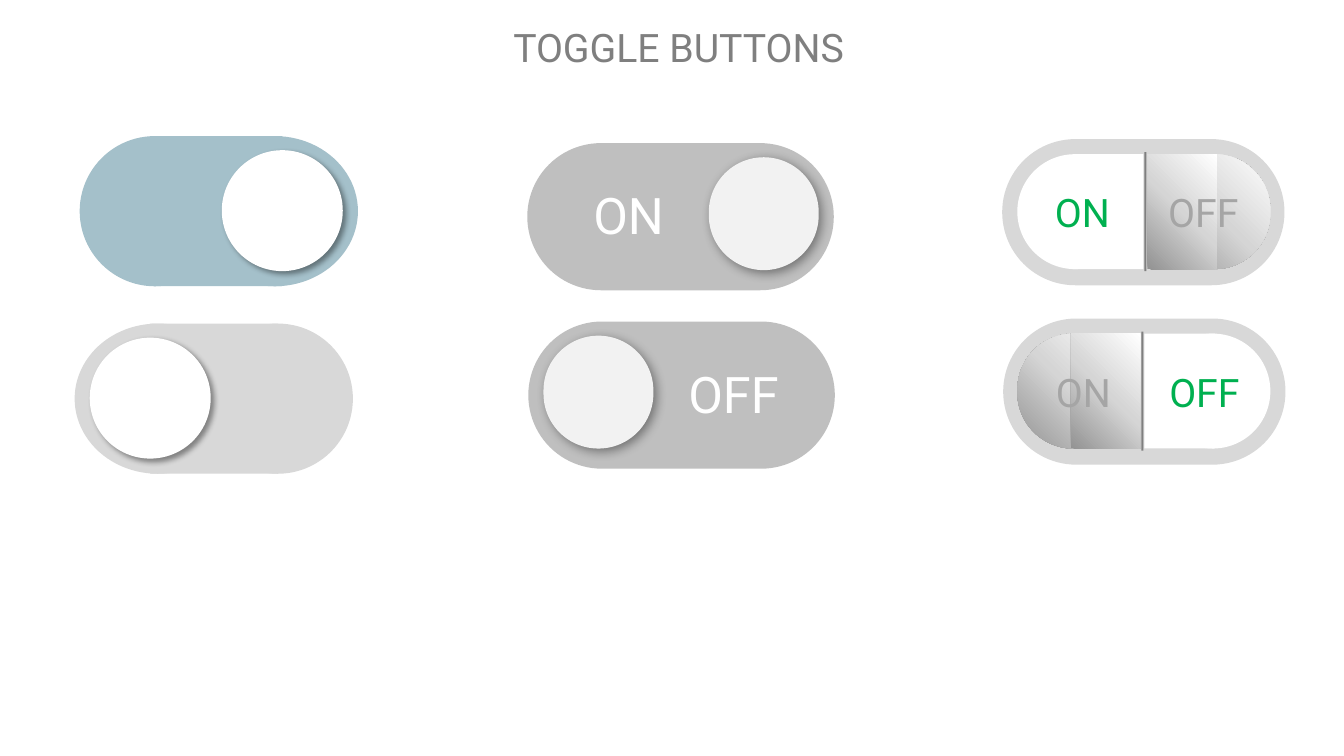
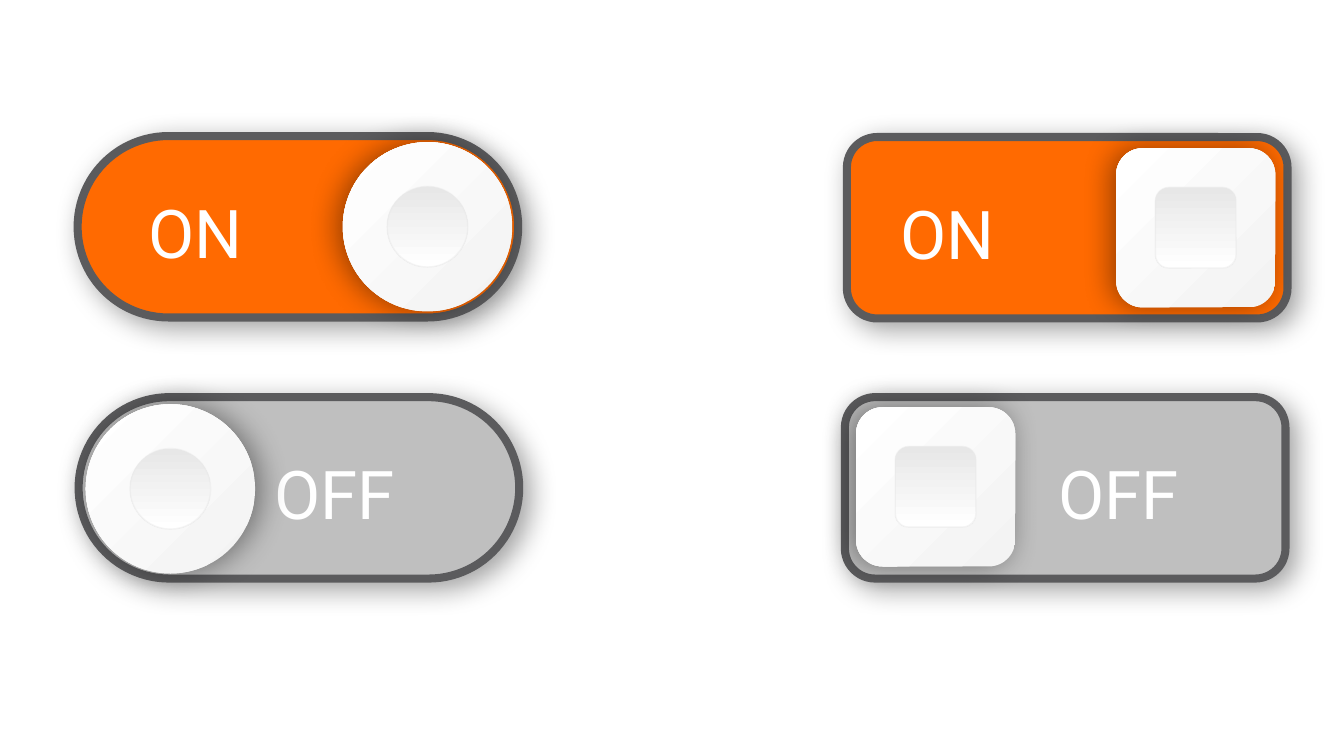
"""Build two slides of toggle buttons."""
from lxml.etree import SubElement as Sub
from pptx import Presentation
from pptx.dml.color import RGBColor as Rgb
from pptx.enum.shapes import MSO_SHAPE as Form
from pptx.enum.text import MSO_ANCHOR as Anchor, MSO_AUTO_SIZE as Auto, PP_ALIGN as Align
from pptx.oxml.ns import qn
from pptx.util import Emu, Pt

SCALE = 9144
FONT = "Roboto"
INK = {
    "white": "FFFFFF", "title": "7F7F7F", "blue": "A4C0CA", "pale": "D8D8D8",
    "grey": "BFBFBF", "knob": "F2F2F2", "green": "00B050", "dim": "A5A5A5",
    "bar": "7F7F7F", "orange": "FF6A01", "rim": "5B5B5D", "edge": "E9E9E9",
    "dark": "939393", "mid": "D5D5D5", "snow": "F3F3F3", "ash": "E7E7E7",
}
OVAL, RECT, ROUND = Form.OVAL, Form.RECTANGLE, Form.ROUNDED_RECTANGLE


def px(*nums):
    return [Emu(num * SCALE) for num in nums]


def tint(name):
    return Rgb.from_string(INK[name])


def fade(shape, names, angle):
    shape.fill.gradient()
    shape.fill.gradient_angle = angle
    stops = shape.element.spPr.find(qn("a:gradFill")).find(qn("a:gsLst"))
    for stop in list(stops):
        stops.remove(stop)
    for num, name in enumerate(names):
        stop = Sub(stops, qn("a:gs"), pos=str(num * 100000 // (len(names) - 1)))
        Sub(stop, qn("a:srgbClr"), val=INK[name])


def shade(shape, alpha, blur, dist, angle):
    glow = shape.element.spPr.find(qn("a:effectLst"))
    cast = Sub(glow, qn("a:outerShdw"), blurRad=str(Pt(blur)), dist=str(Pt(dist)),
               dir=str(angle * 60000), algn="ctr", rotWithShape="0")
    Sub(Sub(cast, qn("a:srgbClr"), val="000000"), qn("a:alpha"), val=str(alpha * 1000))


def draw(slide, form, box, fill, shadow=None, adj=0.5, angle=0):
    """Add a plain shape; a tuple as fill makes a gradient."""
    shape = slide.shapes.add_shape(form, *px(*box))
    if form == ROUND:
        shape.adjustments[0] = adj
    shape.line.fill.background()
    shape.shadow.inherit = False
    if isinstance(fill, tuple):
        fade(shape, fill, angle)
    else:
        shape.fill.solid()
        shape.fill.fore_color.rgb = tint(fill)
    if shadow:
        shade(shape, *shadow)
    return shape


def edge(shape, name, width, alpha=100):
    shape.line.color.rgb = tint(name)
    shape.line.width = Pt(width)
    if alpha < 100:
        color = shape.element.spPr.find(qn("a:ln")).find(".//" + qn("a:srgbClr"))
        Sub(color, qn("a:alpha"), val=str(alpha * 1000))


def write(shape, text, size, name, align=Align.CENTER, anchor=Anchor.TOP):
    frame = shape.text_frame
    frame.word_wrap = True
    frame.auto_size = Auto.NONE
    frame.vertical_anchor = anchor
    para = frame.paragraphs[0]
    para.alignment = align
    run = para.add_run()
    run.text = text
    run.font.size = Pt(size)
    run.font.name = FONT
    run.font.color.rgb = tint(name)
    return frame


def label(slide, box, text, size, name):
    write(slide.shapes.add_textbox(*px(*box)), text, size, name)


def place(x, y, span, box, flip):
    """Shift a box to a button's corner, mirrored within its span on demand."""
    left, top, width, height = box
    if flip:
        left = span - left - width
    return x + left, y + top, width, height


def plain(slide, x, y, fill, on):
    parts = [(OVAL, (127, 0, 149, 149)), (OVAL, (0, 0, 165, 149)), (RECT, (75, 0, 127, 149))]
    for form, box in parts:
        draw(slide, form, place(x, y, 276, box, on), fill)
    draw(slide, OVAL, place(x, y, 276, (15, 14, 120, 120), on), "white", (40, 4, 3, 45))


def slider(slide, x, y, text, on):
    draw(slide, ROUND, (x, y, 304, 146), "grey")
    knob = place(x, y, 304, (15, 14, 109, 112), on)
    draw(slide, ROUND, knob, "knob", (40, 8, 3, 45))
    label(slide, place(x, y, 304, (123, 36, 161, 71), on), text, 36, "white")


def split(slide, x, y, on):
    grey = ("dark", "mid", "white")
    parts = [
        (ROUND, (15, 15, 114, 114), "white"), (RECT, (70, 15, 70, 114), "white"),
        (ROUND, (155, 15, 111, 114), grey), (RECT, (144, 15, 69, 114), grey),
        (RECT, (141, 13, 2, 118), "bar"),
    ]
    draw(slide, ROUND, (x, y, 280, 145), "pale")
    for form, box, fill in parts:
        draw(slide, form, place(x, y, 280, box, not on), fill, angle=45)
    for text, left, live in (("ON", 27, on), ("OFF", 147, not on)):
        label(slide, (x + left, y + 44, 105, 57), text, 28, "green" if live else "dim")


def switch(slide, spot, text, fill, inset, knob, size, form, adj, cast):
    """Draw a rimmed track with its word, a raised knob and a sunken pip."""
    x, y = spot
    track = draw(slide, ROUND, (x, y, 437, 180), fill, (36, 20, 7, 45), adj)
    edge(track, "rim", 5.75)
    frame = write(track, text, 48, "white", Align.LEFT, Anchor.MIDDLE)
    frame.margin_left, frame.margin_top, frame.margin_bottom = px(inset, 15, 5)
    left, top = x + knob[0], y + knob[1]
    draw(slide, form, (left, top, size, size), ("snow", "white"), (40, 21, 4, cast), adj, 135)
    gap = (size - 80) // 2
    pip = draw(slide, form, (left + gap, top + gap, 80, 80), ("ash", "white"), None, adj, 270)
    edge(pip, "edge", 1, 48)


def head(slide, text):
    title = slide.shapes.title
    title.left, title.top, title.width, title.height = px(78, 18, 1190, 57)
    title.fill.solid()
    title.fill.fore_color.rgb = tint("white")
    write(title, text, 28, "title", anchor=Anchor.MIDDLE)


def flat(deck):
    slide = deck.slides.add_slide(deck.slide_layouts[5])
    head(slide, "TOGGLE BUTTONS")
    plain(slide, 79, 135, "blue", True)
    plain(slide, 74, 321, "pale", False)
    slider(slide, 523, 142, "ON", True)
    slider(slide, 524, 319, "OFF", False)
    split(slide, 994, 138, True)
    split(slide, 995, 316, False)


def raised(deck):
    slide = deck.slides.add_slide(deck.slide_layouts[6])
    disc, tile = (168, OVAL, 0.5), (158, ROUND, 0.167)
    switch(slide, (77, 135), "ON", "orange", 44, (263, 6), *disc, 180)
    switch(slide, (78, 394), "OFF", "grey", 168, (7, 7), *disc, 0)
    switch(slide, (840, 136), "ON", "orange", 44, (267, 11), *tile, 180)
    switch(slide, (838, 394), "OFF", "grey", 203, (11, 10), *tile, 180)


def main():
    deck = Presentation()
    deck.slide_width, deck.slide_height = px(1333, 750)
    flat(deck)
    raised(deck)
    deck.save("out.pptx")


if __name__ == "__main__":
    main()
